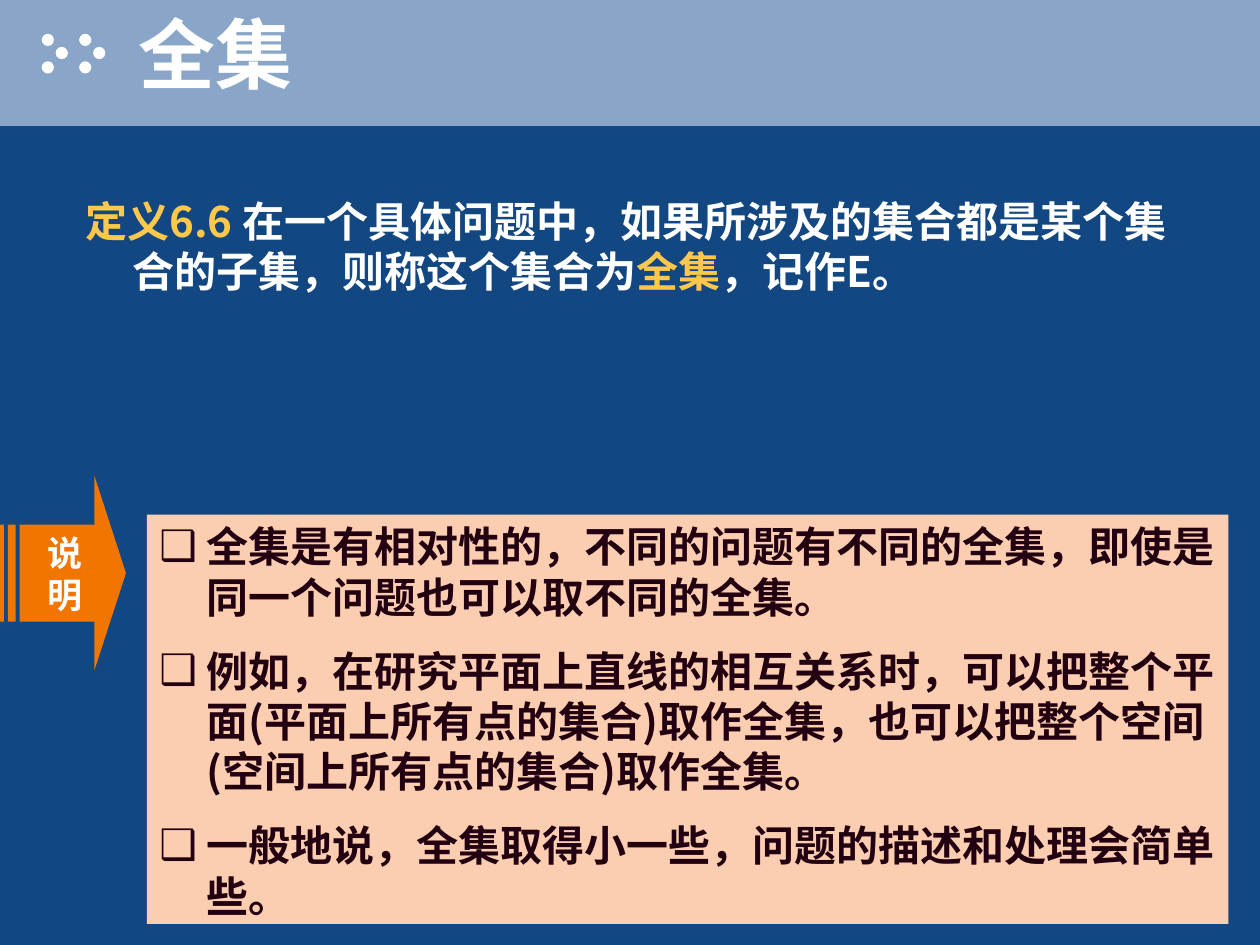
from lxml.etree import SubElement
from pptx import Presentation
from pptx.dml.color import RGBColor
from pptx.enum.shapes import MSO_SHAPE
from pptx.enum.text import MSO_ANCHOR, PP_ALIGN
from pptx.oxml.ns import qn
from pptx.util import Pt

WHITE, GOLD, DARK = "FFFFFF", "FFC84D", "220011"
CJK = "Noto Sans CJK SC"


def hue(code):
    return RGBColor.from_string(code)


def child(parent, tag, **attrs):
    return SubElement(parent, qn(tag), attrs)


class Deck:
    """Holds the text style and the current slide."""

    base = {"name": CJK, "size": Pt(24), "bold": True}

    def __init__(self, wide, high, back):
        self.show = Presentation()
        self.show.slide_width, self.show.slide_height = Pt(wide), Pt(high)
        self.slide = self.show.slides.add_slide(self.show.slide_layouts[6])
        fill = self.slide.background.fill
        fill.solid()
        fill.fore_color.rgb = hue(back)

    def shape(self, kind, area, color):
        item = self.slide.shapes.add_shape(kind, *map(Pt, area))
        item.shadow.inherit = False
        item.fill.solid()
        item.fill.fore_color.rgb = hue(color)
        item.line.fill.background()
        return item

    def box(self, area):
        return self.slide.shapes.add_textbox(*map(Pt, area))

    def label(self, item, paras, anchor=MSO_ANCHOR.TOP, align=PP_ALIGN.LEFT,
              hang=0, mark=None, **style):
        """Fill item with paragraphs, each a list of (text, color) runs."""
        frame = item.text_frame
        frame.word_wrap, frame.vertical_anchor = True, anchor
        for i, runs in enumerate(paras):
            para = frame.add_paragraph() if i else frame.paragraphs[0]
            para.alignment = align
            para.space_before = Pt(13.5 if i else 0)
            if hang:
                props = para._p.get_or_add_pPr()
                props.set("marL", str(Pt(hang)))
                props.set("indent", str(-Pt(hang)))
                if mark:
                    child(props, "a:buFont", typeface="Arial")
                    child(props, "a:buChar", char=mark)
            for text, color in runs:
                run = para.add_run()
                run.text = text
                for key, value in {**self.base, **style}.items():
                    setattr(run.font, key, value)
                run.font.color.rgb = hue(color)
                child(run._r.get_or_add_rPr(), "a:ea", typeface=CJK)

    def shade(self, item, color):
        """Give the text of item a small drop shadow."""
        for para in item.text_frame.paragraphs:
            for run in para.runs:
                props = run._r.get_or_add_rPr()
                effect = props.makeelement(qn("a:effectLst"))
                props.find(qn("a:solidFill")).addnext(effect)
                drop = child(effect, "a:outerShdw", dist=str(Pt(2)), dir="2700000")
                child(drop, "a:srgbClr", val=color)


def main():
    deck = Deck(720, 540, "134781")
    deck.shape(MSO_SHAPE.RECTANGLE, (0, 0, 720, 72), "89A5C7")
    for left in (23.8, 45.2):
        for dx, top in ((0, 19.3), (8, 26.8), (0, 35)):
            deck.shape(MSO_SHAPE.OVAL, (left + dx, top, 7, 7), WHITE)

    title = deck.box((72, 0, 648, 60))
    deck.label(title, [[("全集", WHITE)]], MSO_ANCHOR.MIDDLE, size=Pt(44))
    deck.shade(title, DARK)

    deck.label(deck.box((41.75, 108, 642.25, 90)), [[
        ("定义6.6 ", GOLD),
        ("在一个具体问题中，如果所涉及的集合都是某个集合的子集，则称这个集合为", WHITE),
        ("全集", GOLD),
        ("，记作E。", WHITE),
    ]], hang=27)

    arrow = deck.shape(MSO_SHAPE.STRIPED_RIGHT_ARROW, (0, 272, 72, 111), "F07600")
    arrow.adjustments[0], arrow.adjustments[1] = 0.5, 0.25
    deck.label(arrow, [[("说明", WHITE)]], MSO_ANCHOR.MIDDLE, PP_ALIGN.CENTER,
               name="Arial", size=Pt(20))

    notes = (
        "全集是有相对性的，不同的问题有不同的全集，即使是同一个问题也可以取不同的全集。",
        "例如，在研究平面上直线的相互关系时，可以把整个平面(平面上所有点的集合)取作全集，"
        "也可以把整个空间(空间上所有点的集合)取作全集。",
        "一般地说，全集取得小一些，问题的描述和处理会简单些。",
    )
    panel = deck.shape(MSO_SHAPE.RECTANGLE, (84, 294, 618, 234), "FCCEB1")
    deck.label(panel, [[(note, DARK)] for note in notes], hang=27, mark="❑")
    deck.show.save("out.pptx")


if __name__ == "__main__":
    main()
